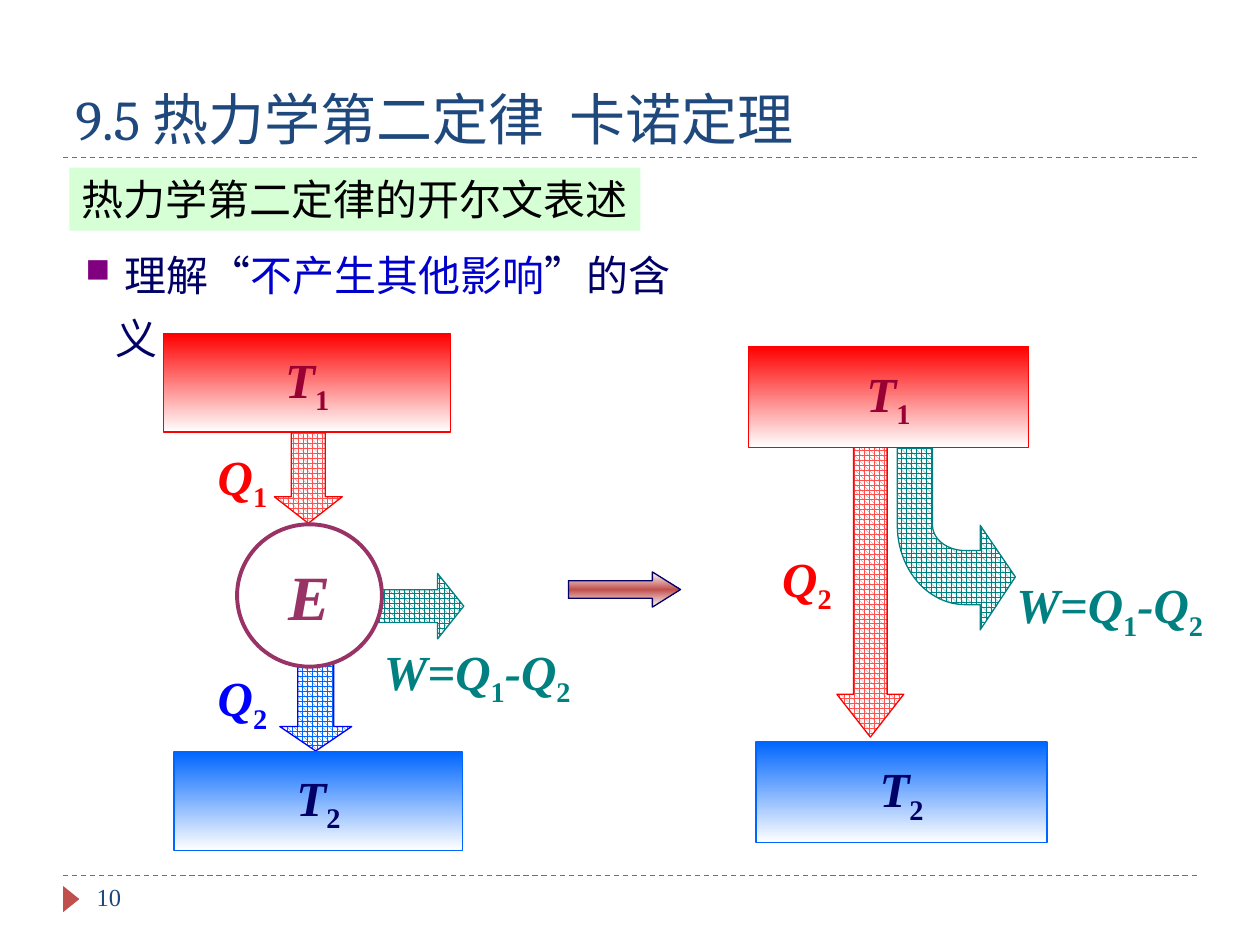
from copy import deepcopy
from math import cos, pi, sin

from lxml import etree
from pptx import Presentation
from pptx.dml.color import RGBColor
from pptx.enum.dml import MSO_LINE, MSO_PATTERN
from pptx.enum.lang import MSO_LANGUAGE_ID
from pptx.enum.shapes import MSO_CONNECTOR, MSO_SHAPE
from pptx.enum.text import MSO_ANCHOR, PP_ALIGN
from pptx.oxml.ns import qn
from pptx.util import Cm, Pt

RECTANGLE, OVAL = MSO_SHAPE.RECTANGLE, MSO_SHAPE.OVAL
TRIANGLE = MSO_SHAPE.ISOSCELES_TRIANGLE
RIGHT_ARROW = MSO_SHAPE.RIGHT_ARROW
STRIPED_ARROW = MSO_SHAPE.STRIPED_RIGHT_ARROW
STRAIGHT, DASH = MSO_CONNECTOR.STRAIGHT, MSO_LINE.DASH
SPHERE = MSO_PATTERN.SPHERE
TOP, MIDDLE, BOTTOM = MSO_ANCHOR.TOP, MSO_ANCHOR.MIDDLE, MSO_ANCHOR.BOTTOM
LEFT, CENTER = PP_ALIGN.LEFT, PP_ALIGN.CENTER
CHINESE = MSO_LANGUAGE_ID.SIMPLIFIED_CHINESE

SERIF, TITLE_FONT = "Times New Roman", "Cambria"
WHITE, BLACK = RGBColor(255, 255, 255), RGBColor(0, 0, 0)
ACCENT = RGBColor(0xC0, 0x50, 0x4D)
TITLE_BLUE = RGBColor(0x1F, 0x49, 0x7D)
NAVY = RGBColor(0, 0, 0x66)
EMPHASIS_BLUE = RGBColor(0, 0, 0xCC)
PALE_GREEN = RGBColor(0xCC, 0xFF, 0xCC)
TEAL = RGBColor(0, 0x80, 0x80)
RED, LIGHT_RED = RGBColor(255, 0, 0), RGBColor(0xFF, 0x50, 0x50)
BLUE, LIGHT_BLUE = RGBColor(0, 0, 255), RGBColor(0, 0x66, 0xFF)
CRIMSON = RGBColor(0x99, 0, 0x33)
PLUM = RGBColor(0x99, 0x33, 0x66)

WORK = ("W=Q", "1", "-Q", "2")


def format_run(run, size, color, font=SERIF):
    run.font.size = Pt(size)
    run.font.name = font
    run.font.color.rgb = color
    run.font.language_id = CHINESE


def write_line(shape, text, size, color, font=SERIF, anchor=TOP, wrap=True):
    frame = shape.text_frame
    frame.word_wrap = wrap
    frame.vertical_anchor = anchor
    frame.text = text
    frame.paragraphs[0].alignment = LEFT
    format_run(frame.paragraphs[0].runs[0], size, color, font)


def write_symbol(shape, parts, color, size=28):
    shape.text_frame.word_wrap = False
    paragraph = shape.text_frame.paragraphs[0]
    for part in parts:
        run = paragraph.add_run()
        run.text = part
        format_run(run, size, color)
        run.font.bold = True
        run.font.italic = not part.isdigit()
        if part.isdigit():
            run._r.get_or_add_rPr().set("baseline", "-25000")
    return paragraph


def add_text_box(slide, box):
    return slide.shapes.add_textbox(*map(Cm, box))


def add_block(slide, kind, box, rotation=0):
    block = slide.shapes.add_shape(kind, *map(Cm, box))
    block.shadow.inherit = False
    block.rotation = rotation
    block.line.fill.background()
    return block


def outline(shape, color, width=0.75):
    shape.line.color.rgb = color
    shape.line.width = Pt(width)


def fill_solid(shape, color):
    shape.fill.solid()
    shape.fill.fore_color.rgb = color


def fill_gradient(shape, colors):
    shape.fill.gradient()
    shape.fill.gradient_angle = 270
    stop_list = shape._element.spPr.find(".//" + qn("a:gsLst"))
    for _ in colors[2:]:
        stop_list.append(deepcopy(stop_list[-1]))
    for index, (stop, color) in enumerate(zip(shape.fill.gradient_stops, colors)):
        stop.color.rgb = color
        stop.position = index / (len(colors) - 1)


def fill_pattern(shape, color):
    shape.fill.patterned()
    shape.fill.pattern = SPHERE
    shape.fill.fore_color.rgb = color
    shape.fill.back_color.rgb = WHITE


def add_divider(slide, y):
    divider = slide.shapes.add_connector(STRAIGHT, Cm(1.27), Cm(y), Cm(24.13), Cm(y))
    outline(divider, ACCENT)
    divider.line.dash_style = DASH
    etree.SubElement(divider._element.spPr, qn("a:effectLst"))


def add_symbol(slide, box, parts, color):
    paragraph = write_symbol(add_text_box(slide, box), parts, color)
    paragraph.line_spacing = 1.25


def add_reservoir(slide, box, number, color, text_color):
    reservoir = add_block(slide, RECTANGLE, box)
    fill_gradient(reservoir, (color, WHITE))
    outline(reservoir, color)
    reservoir.text_frame.vertical_anchor = MIDDLE
    write_symbol(reservoir, ("T", number), text_color).alignment = CENTER


def add_flow(slide, box, head, color, line_color, rotation=90):
    flow = add_block(slide, STRIPED_ARROW, box, rotation)
    flow.adjustments[0] = 0.5
    flow.adjustments[1] = head
    fill_pattern(flow, color)
    outline(flow, line_color)


def quarter_arc(center_x, center_y, radius_x, radius_y, steps=24):
    angles = [pi / 2 * (1 + step / steps) for step in range(steps + 1)]
    return [(center_x + radius_x * cos(a), center_y + radius_y * sin(a)) for a in angles]


def add_bent_flow(slide):
    outer = quarter_arc(19.46, 10.59, 1.37, 1.6)
    inner = quarter_arc(19.46, 10.59, 0.66, 0.51)
    points = [(20.47, 11.63), (19.76, 12.7), (19.76, 12.19), *outer,
              (18.09, 8.94), (18.8, 8.94), *reversed(inner),
              (19.76, 11.1), (19.76, 10.59)]
    corners = [(Cm(x), Cm(y)) for x, y in points]
    builder = slide.shapes.build_freeform(*corners[0])
    builder.add_line_segments(corners[1:], close=True)
    bent_flow = builder.convert_to_shape()
    bent_flow.shadow.inherit = False
    fill_pattern(bent_flow, TEAL)
    outline(bent_flow, TEAL)


def add_key_point(slide):
    key_point = add_text_box(slide, (1.47, 4.65, 12.9, 1.52))
    key_point.text_frame.word_wrap = True
    paragraph = key_point.text_frame.paragraphs[0]
    paragraph.line_spacing = 1.25
    properties = paragraph._p.get_or_add_pPr()
    properties.set("marL", str(Cm(0.61)))
    properties.set("indent", str(-Cm(0.61)))
    bullet_color = etree.SubElement(properties, qn("a:buClr"))
    etree.SubElement(bullet_color, qn("a:srgbClr"), val="800080")
    etree.SubElement(properties, qn("a:buSzPct"), val="80000")
    etree.SubElement(properties, qn("a:buChar"), char="■")
    for text, color in ((" 理解“", NAVY), ("不产生其他影响", EMPHASIS_BLUE), ("”的含义", NAVY)):
        run = paragraph.add_run()
        run.text = text
        format_run(run, 24, color)


def add_heading(slide):
    heading = add_block(slide, RECTANGLE, (1.4, 3.38, 11.51, 1.27))
    fill_solid(heading, PALE_GREEN)
    tint = heading._element.spPr.find(".//" + qn("a:srgbClr"))
    etree.SubElement(tint, qn("a:alpha"), val="80000")
    write_line(heading, "热力学第二定律的开尔文表述", 24, BLACK, anchor=MIDDLE, wrap=False)


def add_frame(slide):
    for y in (17.65, 3.18):
        add_divider(slide, y)
    marker = add_block(slide, TRIANGLE, (1.17, 17.96, 0.53, 0.33), 90)
    fill_solid(marker, ACCENT)
    title = add_text_box(slide, (1.27, 0.64, 22.86, 2.54))
    write_line(title, "9.5 热力学第二定律  卡诺定理", 32, TITLE_BLUE, TITLE_FONT, BOTTOM)
    page_number = add_text_box(slide, (1.7, 17.65, 5.51, 1.02))
    write_line(page_number, "10", 14, TITLE_BLUE)


def add_engine_cycle(slide):
    add_flow(slide, (7.29, 11.56, 2.06, 1.32), 0.4, TEAL, TEAL, 0)
    add_symbol(slide, (7.49, 12.47, 4.39, 1.73), WORK, TEAL)
    add_flow(slide, (5.11, 8.76, 2.21, 1.37), 0.39, LIGHT_RED, RED)
    add_symbol(slide, (4.14, 13, 1.55, 1.73), ("Q", "2"), BLUE)
    add_symbol(slide, (4.14, 8.53, 1.55, 1.73), ("Q", "1"), RED)
    add_flow(slide, (5.36, 13.41, 2.01, 1.45), 0.34, LIGHT_BLUE, BLUE)
    engine = add_block(slide, OVAL, (4.78, 10.57, 2.92, 2.87))
    fill_solid(engine, WHITE)
    outline(engine, PLUM, 2.25)
    engine.text_frame.vertical_anchor = MIDDLE
    write_symbol(engine, ("E",), PLUM, 36).alignment = CENTER
    add_reservoir(slide, (3.3, 6.73, 5.79, 1.98), "1", RED, CRIMSON)
    add_reservoir(slide, (3.51, 15.16, 5.82, 1.98), "2", LIGHT_BLUE, NAVY)


def add_equivalent_flows(slide):
    add_flow(slide, (14, 10.64, 7.09, 1.35), 0.64, LIGHT_RED, RED)
    add_reservoir(slide, (15.24, 14.96, 5.87, 2.03), "2", LIGHT_BLUE, NAVY)
    add_bent_flow(slide)
    add_reservoir(slide, (15.09, 6.99, 5.64, 2.03), "1", RED, CRIMSON)
    add_symbol(slide, (15.52, 10.59, 1.75, 1.73), ("Q", "2"), RED)
    add_symbol(slide, (20.24, 11.13, 4.39, 1.73), WORK, TEAL)
    implication = add_block(slide, RIGHT_ARROW, (11.46, 11.53, 2.26, 0.71))
    implication.adjustments[1] = 0.8
    fill_gradient(implication, (WHITE, ACCENT, WHITE))
    outline(implication, NAVY)


def main():
    presentation = Presentation()
    presentation.slide_width, presentation.slide_height = Cm(25.4), Cm(19.05)
    slide = presentation.slides.add_slide(presentation.slide_layouts[6])
    add_frame(slide)
    add_key_point(slide)
    add_engine_cycle(slide)
    add_equivalent_flows(slide)
    add_heading(slide)
    presentation.save("out.pptx")


if __name__ == "__main__":
    main()
